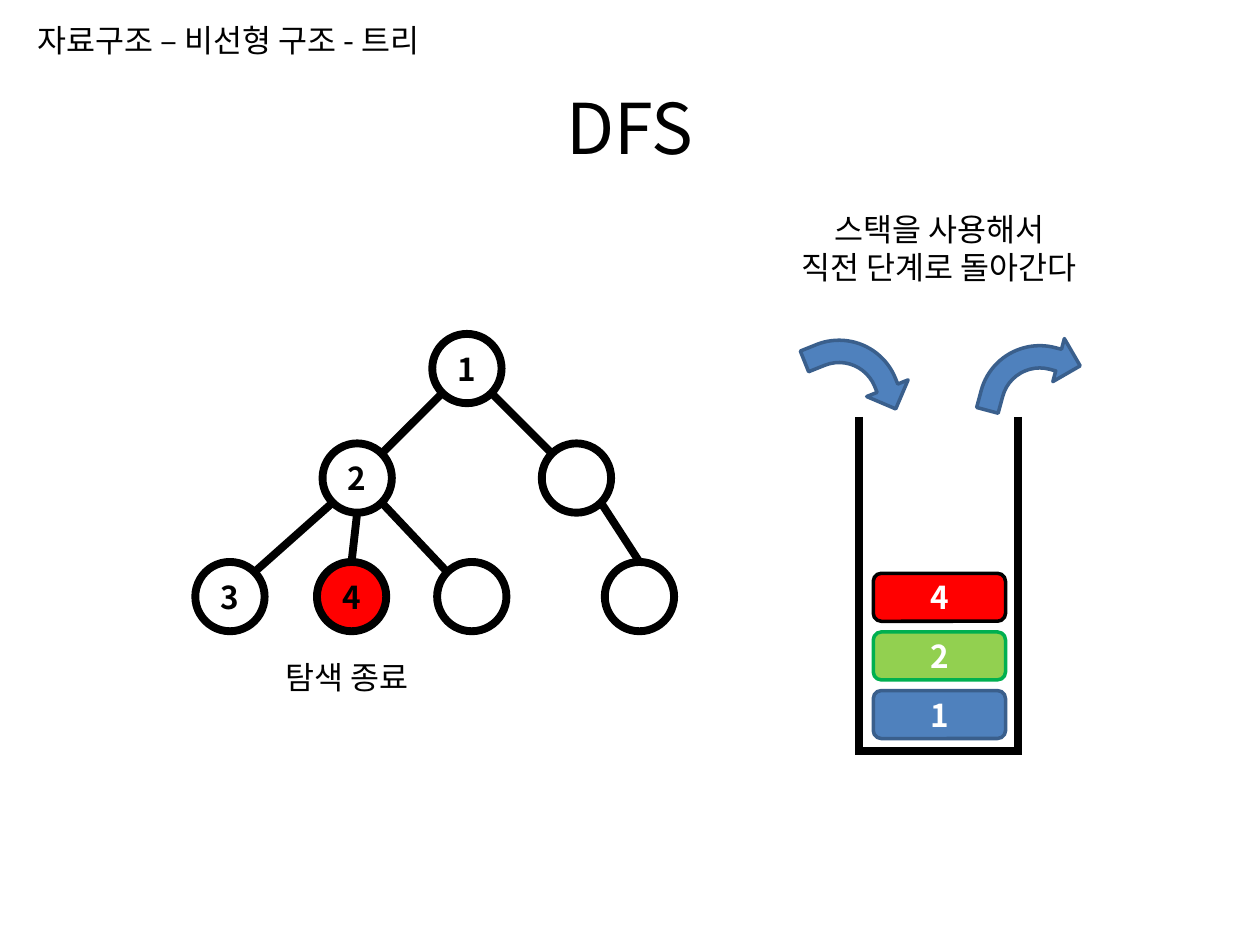
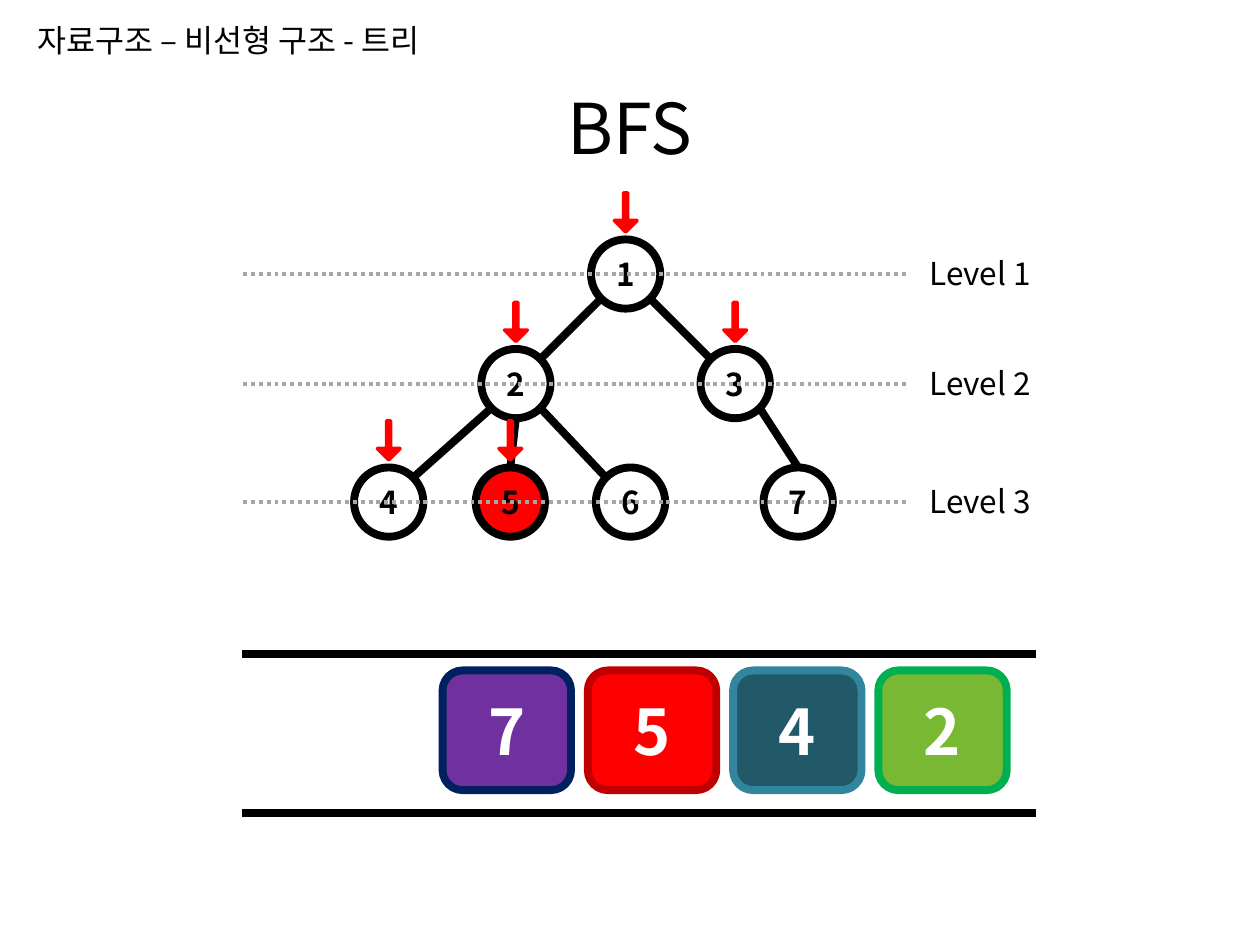
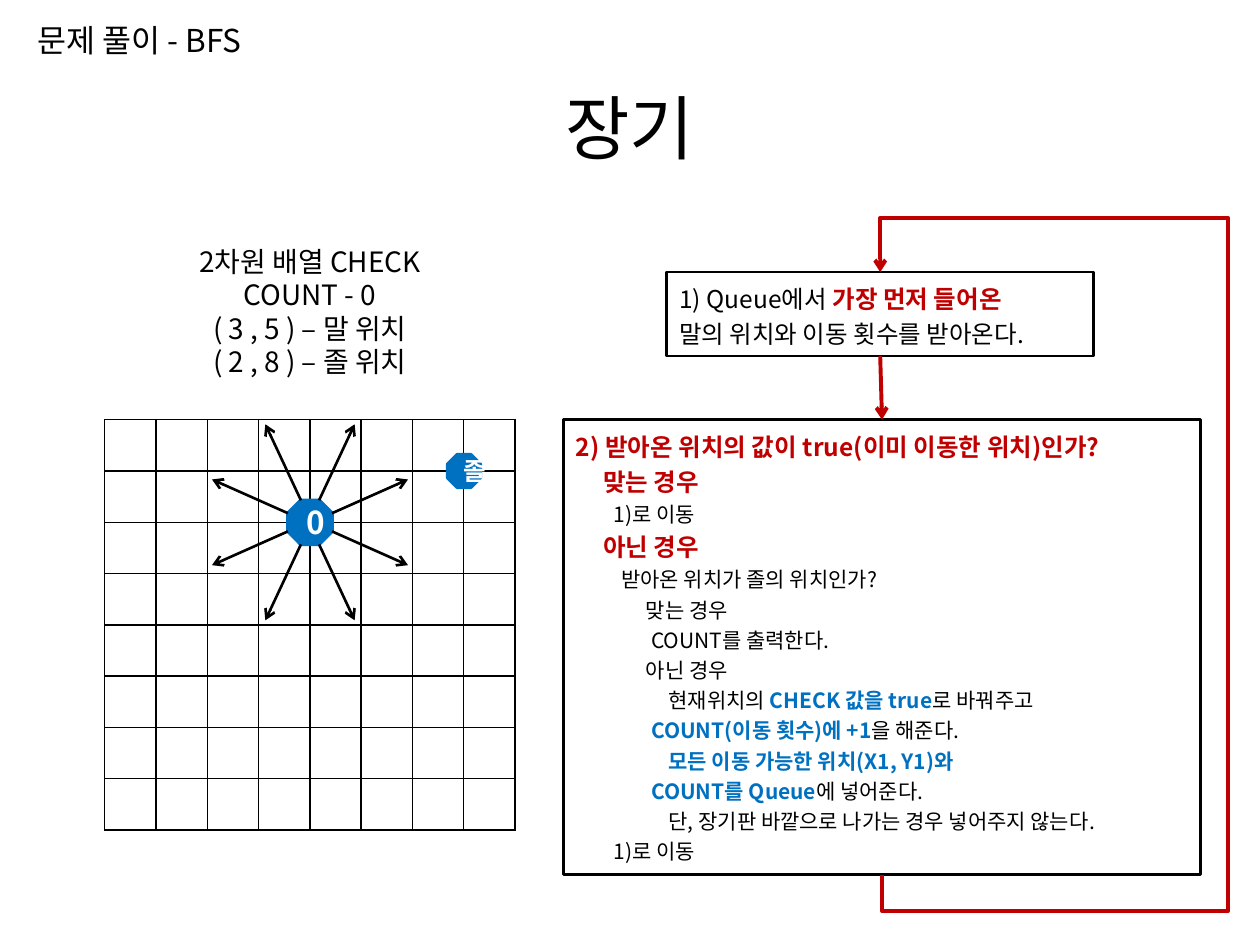
import itertools
from dataclasses import dataclass

import lxml.etree
import pptx
import pptx.dml.color
import pptx.enum.dml
import pptx.enum.shapes
import pptx.enum.text
import pptx.oxml.ns
import pptx.util

Pt = pptx.util.Pt
qn = pptx.oxml.ns.qn
SHAPE = pptx.enum.shapes.MSO_SHAPE
CONNECTOR = pptx.enum.shapes.MSO_CONNECTOR
ALIGN = pptx.enum.text.PP_ALIGN

FONT = "Noto Sans CJK KR"
BLACK, WHITE, GRAY = "000000", "FFFFFF", "A6A6A6"
RED, DARK_RED, BLUE = "FF0000", "C00000", "0070C0"
STEEL, DARK_STEEL = "4F81BD", "3A5F8C"
LIME, GREEN = "92D050", "00B050"
THICK = 4.5

NODE = 39.6
NODE_OFFSETS = [(135.4, 0), (72.7, 62.6), (198, 62.6),
                (0, 130.3), (69.5, 130.3), (138.2, 130.3), (234, 130.3)]
TARGET_NODE = 4
# Parent, side of the parent, child, side of the child
EDGES = [(0, "bottom left", 1, "top right"), (0, "bottom right", 2, "top left"),
         (1, "bottom left", 3, "top right"), (1, "bottom", 4, "top"),
         (1, "bottom right", 5, "top left"), (2, "bottom right", 6, "top")]


@dataclass
class Run:
    text: str
    size: float = 18
    color: str = BLACK
    bold: bool = False


def rgb(color):
    return pptx.dml.color.RGBColor.from_string(color)


def write(frame, paragraphs, align=ALIGN.LEFT, spacing=None, indents=None):
    """Fill a text frame; each paragraph is a list of runs."""
    frame.word_wrap = True
    for index, runs in enumerate(paragraphs):
        paragraph = frame.paragraphs[0] if index == 0 else frame.add_paragraph()
        paragraph.alignment = align
        if spacing:
            paragraph.line_spacing = spacing
        if indents and indents[index]:
            paragraph._p.get_or_add_pPr().set("marL", str(Pt(indents[index])))
        for item in runs:
            run = paragraph.add_run()
            run.text = item.text
            run.font.size = Pt(item.size)
            run.font.bold = item.bold
            run.font.color.rgb = rgb(item.color)
            run.font.name = FONT
            east_asian = lxml.etree.SubElement(run._r.get_or_add_rPr(), qn("a:ea"))
            east_asian.set("typeface", FONT)


def add_text(slide, left, top, width, height, lines, size=18, align=ALIGN.LEFT):
    box = slide.shapes.add_textbox(Pt(left), Pt(top), Pt(width), Pt(height))
    write(box.text_frame, [[Run(line, size)] for line in lines], align)


def add_shape(slide, kind, left, top, width, height, fill, line, weight=2, label=None):
    """Add a preset shape, with a centred label Run if one is given."""
    shape = slide.shapes.add_shape(kind, Pt(left), Pt(top), Pt(width), Pt(height))
    shape.shadow.inherit = False
    if fill:
        shape.fill.solid()
        shape.fill.fore_color.rgb = rgb(fill)
    else:
        shape.fill.background()
    shape.line.color.rgb = rgb(line)
    shape.line.width = Pt(weight)
    if label:
        write(shape.text_frame, [[label]], ALIGN.CENTER)
    return shape


def add_line(slide, start, end, color=BLACK, weight=THICK, arrow=False, kind=CONNECTOR.STRAIGHT):
    connector = slide.shapes.add_connector(kind, *[Pt(value) for value in (*start, *end)])
    connector.line.color.rgb = rgb(color)
    connector.line.width = Pt(weight)
    if arrow:
        line = connector.line._get_or_add_ln()
        lxml.etree.SubElement(line, qn("a:tailEnd")).set("type", "arrow")
    lxml.etree.SubElement(connector._element.spPr, qn("a:effectLst"))
    return connector


def add_return_arrow(slide, start, end, right, below, above):
    """Lead an elbow arrow from a bottom side round the right to a top side."""
    connector = add_line(slide, start, end, DARK_RED, 2.25, True, CONNECTOR.ELBOW)
    length, shift = start[1] - end[1], start[0] - end[0]
    middle = (start[0] + end[0]) / 2, (start[1] + end[1]) / 2
    connector.left, connector.top = Pt(middle[0] - length / 2), Pt(middle[1] - shift / 2)
    connector.width, connector.height = Pt(length), Pt(shift)

    properties = connector._element.spPr
    frame = properties.find(qn("a:xfrm"))
    for flip in ("flipH", "flipV"):
        frame.attrib.pop(flip, None)
    frame.set("rot", "5400000")
    frame.set("flipH", "1")
    geometry = properties.find(qn("a:prstGeom"))
    geometry.set("prst", "bentConnector5")
    guides = geometry.find(qn("a:avLst"))
    if guides is None:
        guides = lxml.etree.SubElement(geometry, qn("a:avLst"))
    ratios = (-below / length, -right / shift, 1 + above / length)
    for number, ratio in enumerate(ratios, 1):
        guide = lxml.etree.SubElement(guides, qn("a:gd"))
        guide.set("name", f"adj{number}")
        guide.set("fmla", f"val {round(ratio * 100000)}")


def add_titled_slide(presentation, heading, heading_width, title):
    slide = presentation.slides.add_slide(presentation.slide_layouts[5])
    placeholder = slide.shapes.title
    placeholder.left, placeholder.top = Pt(36), Pt(27)
    placeholder.width, placeholder.height = Pt(648), Pt(90)
    write(placeholder.text_frame, [[Run(title, 40)]], ALIGN.CENTER)
    add_text(slide, 14.4, 8.6, heading_width, 29, [heading])
    return slide


def add_tree(slide, left, top, labels):
    """Draw the search tree and return the top centre of each node."""
    centers = [(left + x + NODE / 2, top + y + NODE / 2) for x, y in NODE_OFFSETS]
    for index, (center, label) in enumerate(zip(centers, labels)):
        add_shape(slide, SHAPE.OVAL, center[0] - NODE / 2, center[1] - NODE / 2, NODE, NODE,
                  RED if index == TARGET_NODE else None, BLACK, THICK,
                  Run(label, bold=True) if label else None)

    def rim(index, side):
        x = ("right" in side) - ("left" in side)
        y = ("bottom" in side) - ("top" in side)
        reach = NODE / 2 / (x * x + y * y) ** 0.5
        return centers[index][0] + x * reach, centers[index][1] + y * reach

    for parent, parent_side, child, child_side in EDGES:
        add_line(slide, rim(parent, parent_side), rim(child, child_side))
    return [rim(index, "top") for index in range(len(centers))]


def add_stack(slide, left, top, width, height):
    right, bottom = left + width, top + height
    for x in (left, right):
        add_line(slide, (x, top), (x, bottom))
    add_line(slide, (left - 2.25, bottom - 2), (right + 2.25, bottom - 2))

    for x, turn in ((left - 26, 68.1), (right - 18, 15)):
        arrow = add_shape(slide, SHAPE.BENT_ARROW, x, top - 49, 51, 51, STEEL, DARK_STEEL)
        arrow.rotation = turn
        arrow.adjustments[3] = 0.68

    items = [("1", STEEL, DARK_STEEL), ("2", LIME, GREEN), ("4", RED, BLACK)]
    for index, (label, fill, line) in enumerate(items):
        add_shape(slide, SHAPE.ROUNDED_RECTANGLE, left + 8, bottom - 36.7 - 33.5 * index,
                  75.6, 27.4, fill, line, label=Run(label, 18, WHITE, True))


def add_levels(slide, left, width, tree_top):
    rows = sorted({y for _, y in NODE_OFFSETS})
    for number, row in enumerate(rows, 1):
        y = tree_top + row + NODE / 2
        line = add_line(slide, (left, y), (left + width, y), GRAY, 2.25)
        line.line.dash_style = pptx.enum.dml.MSO_LINE.ROUND_DOT
        add_text(slide, left + width + 5.6, y - 15, 119, 29, [f"Level {number}"])


def add_queue(slide, left, top, width, height):
    for y in (top, top + height):
        add_line(slide, (left, y), (left + width, y))
    items = [("7", "7030A0", "002060"), ("5", RED, DARK_RED),
             ("4", "215968", "31859C"), ("2", "78B832", GREEN)]
    for index, (label, fill, line) in enumerate(items):
        add_shape(slide, SHAPE.ROUNDED_RECTANGLE, left + 114.7 + 83 * index, top + 9.4,
                  73.4, 68.4, fill, line, THICK, Run(label, 36, WHITE, True))


def add_board(slide, left, top, side, count=8):
    """Draw the board with the horse, its eight moves and the soldier."""
    frame = slide.shapes.add_table(count, count, Pt(left), Pt(top), Pt(side), Pt(side))
    table = frame.table
    table.first_row = table.horz_banding = False
    for cell in table.iter_cells():
        cell.margin_left = cell.margin_right = cell.margin_top = cell.margin_bottom = 0
        properties = cell._tc.get_or_add_tcPr()
        for name in ("lnL", "lnR", "lnT", "lnB"):
            border = lxml.etree.SubElement(properties, qn(f"a:{name}"))
            border.set("w", str(Pt(1)))
            fill = lxml.etree.SubElement(border, qn("a:solidFill"))
            lxml.etree.SubElement(fill, qn("a:srgbClr")).set("val", BLACK)
        cell.fill.background()

    step = side / count

    def add_piece(column, row, size, label):
        x, y = left + column * step, top + row * step
        add_shape(slide, SHAPE.OCTAGON, x - size / 2, y - size / 2, size, size,
                  BLUE, BLUE, label=label)
        return x, y

    x, y = add_piece(4, 2, 25.2, Run("0", 18, WHITE, True))
    moves = [((5.2, 12.6), (25.5, 56)), ((12.6, 5.2), (56, 24.5))]
    for (start, end), across, down in itertools.product(moves, (-1, 1), (-1, 1)):
        add_line(slide, (x + across * start[0], y + down * start[1]),
                 (x + across * end[0], y + down * end[1]), BLACK, 1.5, True)
    add_piece(7, 1, 18.7, Run("졸", 14, WHITE, True))


def add_step(slide, left, top, width, height, paragraphs, indents=None):
    box = add_shape(slide, SHAPE.RECTANGLE, left, top, width, height, None, BLACK, 1.5)
    box.text_frame.vertical_anchor = pptx.enum.text.MSO_ANCHOR.TOP
    write(box.text_frame, paragraphs, spacing=1.2, indents=indents)
    return box


def add_procedure(slide, left, top):
    def plain(text):
        return Run(text, 12)

    def key(text):
        return Run(text, 12, BLUE, True)

    def strong(text):
        return Run(text, 14, DARK_RED, True)

    fetch = add_step(slide, left + 59, top, 244, 48, [
        [Run("1) Queue에서 ", 14), strong("가장 먼저 들어온")],
        [Run("말의 위치와 이동 횟수를 받아온다.", 14)]])
    outline = [
        (0, [strong("2) 받아온 위치의 값이 true(이미 이동한 위치)인가?")]),
        (15.5, [strong("맞는 경우")]),
        (21.5, [plain("1)로 이동")]),
        (15.5, [strong("아닌 경우")]),
        (26, [plain("받아온 위치가 졸의 위치인가?")]),
        (40, [plain("맞는 경우")]),
        (43, [plain("COUNT를 출력한다.")]),
        (40, [plain("아닌 경우")]),
        (53, [plain("현재위치의 "), key("CHECK 값을 true"), plain("로 바꿔주고")]),
        (43, [key("COUNT(이동 횟수)에 +1"), plain("을 해준다.")]),
        (53, [key("모든 이동 가능한 위치(X1, Y1)와")]),
        (43, [key("COUNT를 Queue"), plain("에 넣어준다.")]),
        (53, [plain("단, 장기판 바깥으로 나가는 경우 넣어주지 않는다.")]),
        (21.5, [plain("1)로 이동")]),
    ]
    indents, paragraphs = zip(*outline)
    check = add_step(slide, left, top + 84.3, 364, 260, paragraphs, indents)

    add_return_arrow(slide, (left + 182, top + 344.3), (left + 181, top), 199.4, 20.8, 31)
    arrow = add_line(slide, (left + 181, top + 48), (left + 182, top + 84.3),
                     DARK_RED, 2.25, True)
    arrow.begin_connect(fetch, 2)
    arrow.end_connect(check, 0)


def build_dfs(presentation, heading):
    slide = add_titled_slide(presentation, heading, 266.4, "DFS")
    add_tree(slide, 111.6, 190.8, ["1", "2", "", "3", "4", "", ""])
    add_text(slide, 156.2, 372.2, 94.3, 29, ["탐색 종료"])
    add_stack(slide, 491, 238.3, 90.8, 193)
    add_text(slide, 414.7, 116.6, 244, 51, ["스택을 사용해서", "직전 단계로 돌아간다"],
             align=ALIGN.CENTER)


def build_bfs(presentation, heading):
    slide = add_titled_slide(presentation, heading, 266.4, "BFS")
    tops = add_tree(slide, 202.3, 136.8, "1234567")
    add_levels(slide, 139, 379.4, 136.8)
    add_queue(slide, 138.2, 373.7, 453.6, 90.7)
    for x, y in tops[:TARGET_NODE + 1]:
        arrow = add_shape(slide, SHAPE.DOWN_ARROW, x - 6.5, y - 26.6, 13, 22.3, RED, RED)
        arrow.adjustments[0] = 0.18


def build_janggi(presentation):
    slide = add_titled_slide(presentation, "문제 풀이 - BFS", 203.8, "장기")
    add_board(slide, 59.8, 239.8, 234.7)
    add_text(slide, 32.4, 136, 289.4, 104,
             ["2차원 배열 CHECK", "COUNT - 0", "( 3 , 5 ) – 말 위치", "( 2 , 8 ) – 졸 위치"],
             16, ALIGN.CENTER)
    add_procedure(slide, 322, 155.5)


def main():
    presentation = pptx.Presentation()
    presentation.slide_width, presentation.slide_height = Pt(720), Pt(540)
    tree_heading = "자료구조 – 비선형 구조 - 트리"
    build_dfs(presentation, tree_heading)
    build_bfs(presentation, tree_heading)
    build_janggi(presentation)
    presentation.save("out.pptx")


if __name__ == "__main__":
    main()
